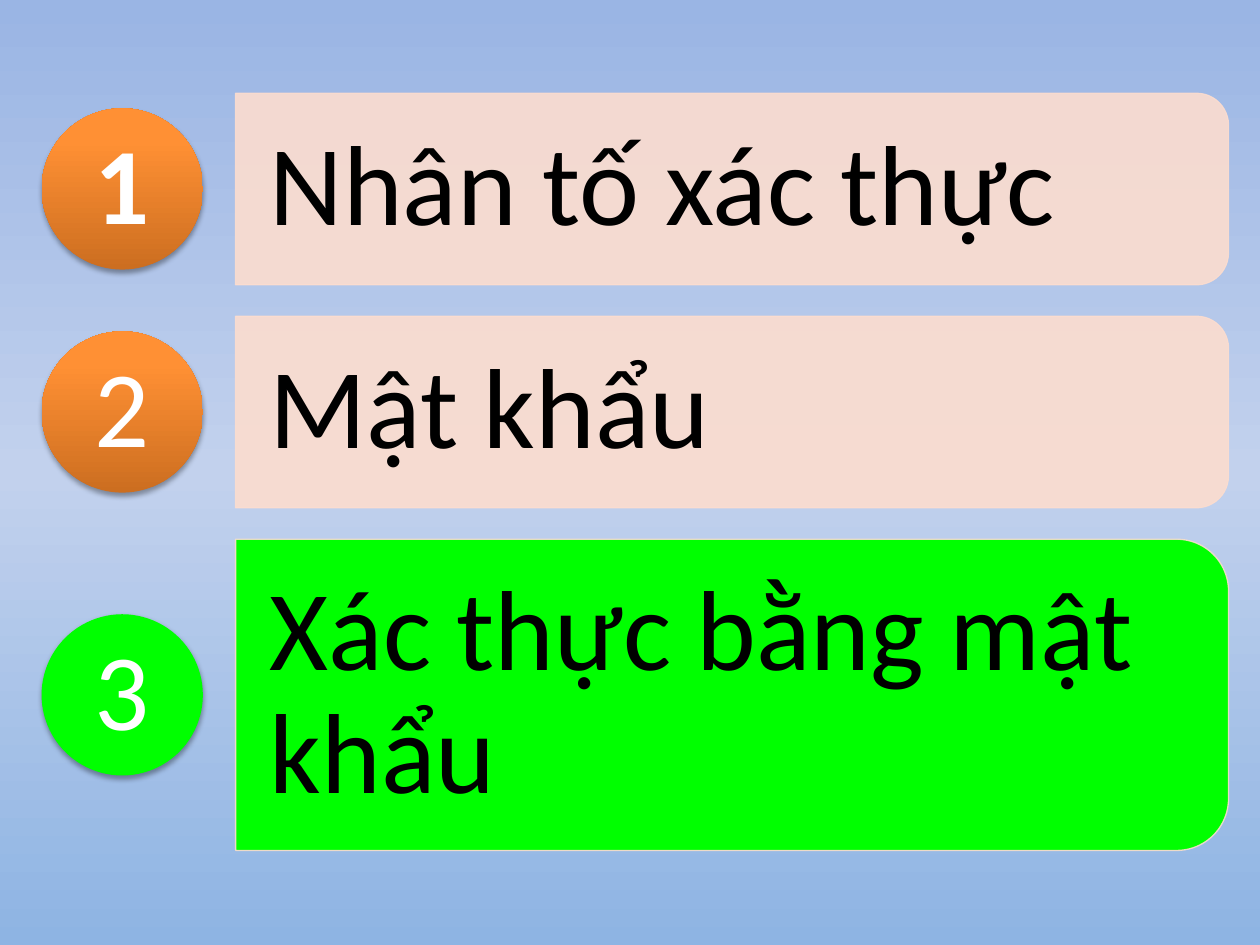
from dataclasses import dataclass

from lxml.etree import SubElement
from pptx import Presentation
from pptx.dml.color import RGBColor
from pptx.enum.shapes import MSO_SHAPE as SHAPE
from pptx.enum.text import MSO_ANCHOR as ANCHOR, PP_ALIGN as ALIGN
from pptx.oxml.ns import qn
from pptx.util import Inches, Pt


@dataclass(frozen=True)
class Theme:
    font: str = "Calibri"
    label_size: int = 65
    number_size: int = 62
    text: str = "000000"
    number: str = "FFFFFF"
    bar: str = "FCDDCF"
    active: str = "00FF00"
    shadow: str = "000000"
    sky: tuple = ((0, "9AB5E4"), (50, "C2D1ED"), (100, "8EB4E3"))
    orange: tuple = ((0, "CC6E20"), (80, "FF9034"), (100, "FF9136"))


class Agenda:
    def __init__(self, slide, theme):
        self.slide = slide
        self.theme = theme

    def gradient(self, fill, owner, stops, angle):
        fill.gradient()
        fill.gradient_angle = angle
        stop_list = next(owner.iter(qn("a:gsLst")))
        stop_list.clear()
        for position, color in stops:
            stop = SubElement(stop_list, qn("a:gs"), pos=str(position * 1000))
            SubElement(stop, qn("a:srgbClr"), val=color)

    def solid(self, fill, color):
        fill.solid()
        fill.fore_color.rgb = RGBColor.from_string(color)

    def fade(self, owner, percent):
        for color in owner.iter(qn("a:srgbClr")):
            SubElement(color, qn("a:alpha"), val=str(percent * 1000))

    def background(self):
        fill = self.slide.background.fill
        self.gradient(fill, self.slide.element, self.theme.sky, 270)

    def set_text(self, sp, text, size, color, align, margins, bold=False):
        tf = sp.text_frame
        tf.word_wrap = True
        tf.vertical_anchor = ANCHOR.MIDDLE
        tf.margin_left = tf.margin_right = Inches(margins[0])
        tf.margin_top = tf.margin_bottom = Inches(margins[1])
        tf.text = text
        p = tf.paragraphs[0]
        p.alignment = align
        p.line_spacing = 0.9
        font = p.runs[0].font
        font.name = self.theme.font
        font.size = Pt(size)
        font.bold = bold
        font.color.rgb = RGBColor.from_string(color)

    def bar(self, left, top, width, height, active):
        sp = self.slide.shapes.add_shape(
            SHAPE.ROUND_2_SAME_RECTANGLE,
            Inches(left + (width - height) / 2), Inches(top + (height - width) / 2),
            Inches(height), Inches(width))
        sp.rotation = 90
        sp.shadow.inherit = False
        self.solid(sp.fill, self.theme.active if active else self.theme.bar)
        self.solid(sp.line.fill, self.theme.bar)
        sp.line.width = Pt(0.75)
        properties = sp.element.spPr
        self.fade(properties.find(qn("a:ln")) if active else properties, 90)

    def label(self, left, top, width, height, text):
        sp = self.slide.shapes.add_textbox(
            Inches(left), Inches(top), Inches(width), Inches(height))
        self.set_text(sp, text, self.theme.label_size, self.theme.text,
                      ALIGN.LEFT, (0.27, 0.18))

    def badge(self, left, middle, size, number, active, bold):
        sp = self.slide.shapes.add_shape(
            SHAPE.OVAL, Inches(left), Inches(middle - size / 2),
            Inches(size), Inches(size))
        sp.line.fill.background()
        if active:
            self.solid(sp.fill, self.theme.active)
        else:
            self.gradient(sp.fill, sp.element, self.theme.orange, 90)
        self.cast_shadow(sp)
        self.set_text(sp, str(number), self.theme.number_size, self.theme.number,
                      ALIGN.CENTER, (0, 0), bold)

    def cast_shadow(self, sp):
        sp.shadow.inherit = False
        effects = sp.element.spPr.find(qn("a:effectLst"))
        shadow = SubElement(effects, qn("a:outerShdw"), blurRad=str(Pt(3.1)),
                            dist=str(Pt(1.8)), dir="5400000", rotWithShape="0")
        SubElement(shadow, qn("a:srgbClr"), val=self.theme.shadow)
        self.fade(effects, 35)


def main():
    prs = Presentation()
    prs.slide_width, prs.slide_height = Inches(10), Inches(7.5)
    agenda = Agenda(prs.slides.add_slide(prs.slide_layouts[6]), Theme())
    agenda.background()

    rows = [
        ("Nhân tố xác thực", 1.52),
        ("Mật khẩu", 1.52),
        ("Xác thực bằng mật khẩu", 2.47),
    ]
    top, gap = 0.74, 0.25
    bar_left, bar_width = 1.87, 7.88
    current = 3
    for number, (text, height) in enumerate(rows, 1):
        active = number == current
        agenda.bar(bar_left, top, bar_width, height, active)
        agenda.label(bar_left, top, bar_width - 0.1, height, text)
        agenda.badge(0.33, top + height / 2, 1.28, number, active, bold=number == 1)
        top += height + gap

    prs.save("out.pptx")


if __name__ == "__main__":
    main()
